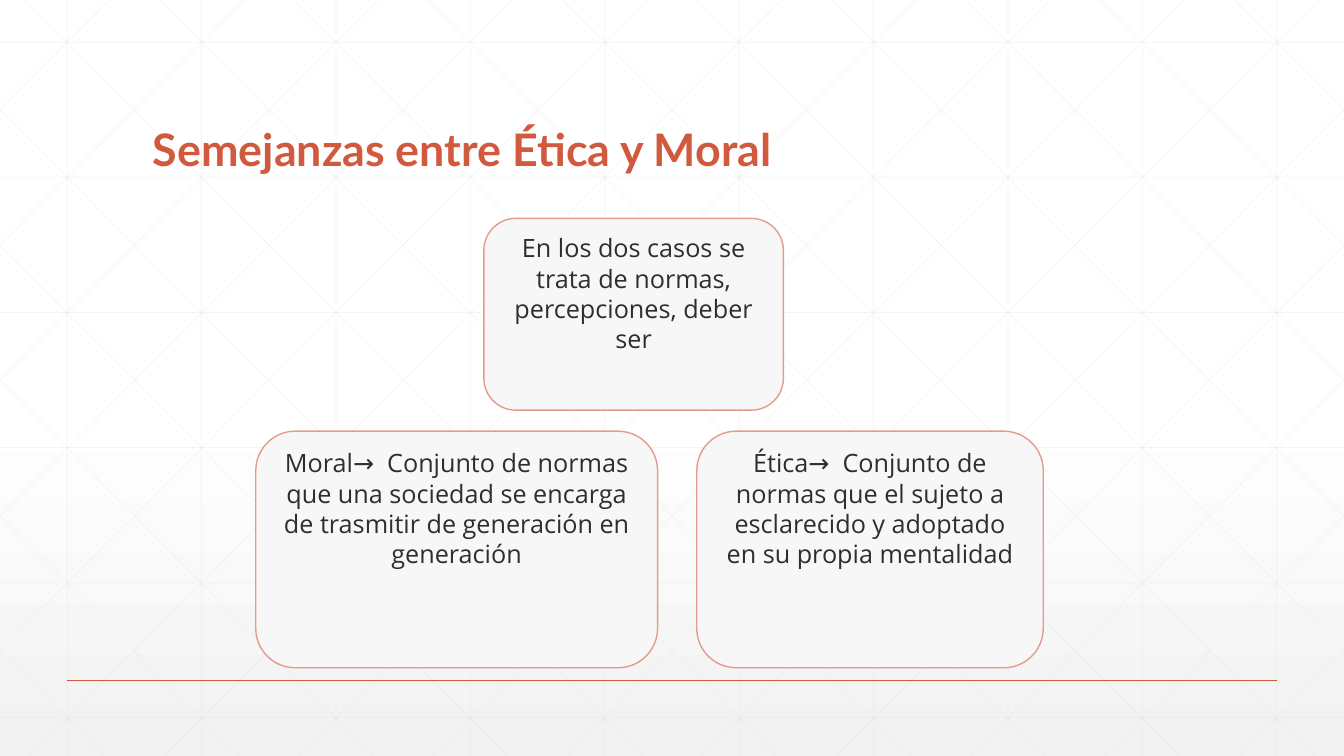
from typing import NamedTuple

from lxml.etree import SubElement
from pptx import Presentation
from pptx.dml.color import RGBColor
from pptx.enum.shapes import MSO_CONNECTOR, MSO_SHAPE
from pptx.enum.text import MSO_ANCHOR, MSO_AUTO_SIZE, PP_ALIGN
from pptx.oxml.ns import qn
from pptx.util import Pt

WHITE = RGBColor(0xFF, 0xFF, 0xFF)
PALE_GRAY = RGBColor(0xF2, 0xF2, 0xF2)
GRID_GRAY = RGBColor(0xD9, 0xD9, 0xD9)
BOX_FILL = RGBColor(0xF7, 0xF7, 0xF7)
BOX_LINE = RGBColor(0xE3, 0x9C, 0x8B)
ACCENT = RGBColor(0xD1, 0x5A, 0x3E)
INK = RGBColor(0x2D, 0x2E, 0x2D)

# All lengths are in points
WIDTH, HEIGHT = 960, 540
GRID_STEP = 96
ROW_TOP, ROW_STEP = 30.2, 96.5
DIAGONAL_START, DIAGONAL_RUN = 18, 536.6


class Segment(NamedTuple):
    x1: float
    y1: float
    x2: float
    y2: float


class Box(NamedTuple):
    left: float
    top: float
    width: float
    height: float
    text: str


BOXES = [
    Box(345.6, 156, 214, 137,
        "En los dos casos se trata de normas, percepciones, deber ser"),
    Box(182.7, 308, 287, 169,
        "Moral→  Conjunto de normas que una sociedad se encarga "
        "de trasmitir de generación en generación"),
    Box(497.7, 308, 247.5, 169,
        "Ética→  Conjunto de normas que el sujeto a esclarecido "
        "y adoptado en su propia mentalidad"),
]


def falling_diagonal(start: float) -> Segment:
    """Diagonal crossing the top edge at start, clipped to the slide."""
    slope = HEIGHT / DIAGONAL_RUN
    x1 = max(start, 0)
    x2 = min(start + DIAGONAL_RUN, WIDTH)
    return Segment(x1, (x1 - start) * slope, x2, (x2 - start) * slope)


def mirrored(segment: Segment) -> Segment:
    return Segment(WIDTH - segment.x1, segment.y1, WIDTH - segment.x2, segment.y2)


def grid_segments() -> list[Segment]:
    columns = [Segment(x, 0, x, HEIGHT) for x in range(GRID_STEP // 2, WIDTH, GRID_STEP)]
    rows = [Segment(0, ROW_TOP + ROW_STEP * row, WIDTH, ROW_TOP + ROW_STEP * row)
            for row in range(6)]
    falling = [falling_diagonal(DIAGONAL_START + GRID_STEP * step) for step in range(-5, 10)]
    return columns + rows + falling + [mirrored(segment) for segment in falling]


def add_line(shapes, segment: Segment, color: RGBColor, weight: float,
             opacity: int = 100) -> None:
    line = shapes.add_connector(MSO_CONNECTOR.STRAIGHT, *(Pt(value) for value in segment))
    line.line.color.rgb = color
    line.line.width = Pt(weight)
    properties = line._element.spPr
    if opacity < 100:
        color_element = properties.find(".//" + qn("a:srgbClr"))
        SubElement(color_element, qn("a:alpha"), val=str(opacity * 1000))
    SubElement(properties, qn("a:effectLst"))


def add_box(shapes, box: Box) -> None:
    shape = shapes.add_shape(MSO_SHAPE.FLOWCHART_ALTERNATE_PROCESS,
                             Pt(box.left), Pt(box.top), Pt(box.width), Pt(box.height))
    shape.shadow.inherit = False
    shape.fill.solid()
    shape.fill.fore_color.rgb = BOX_FILL
    shape.line.color.rgb = BOX_LINE
    shape.line.width = Pt(1)
    frame = shape.text_frame
    frame.word_wrap = True
    frame.vertical_anchor = MSO_ANCHOR.TOP
    frame.text = box.text
    paragraph = frame.paragraphs[0]
    paragraph.alignment = PP_ALIGN.CENTER
    paragraph.font.name = "Open Sans"
    paragraph.font.size = Pt(18)
    paragraph.font.color.rgb = INK


presentation = Presentation()
presentation.slide_width = Pt(WIDTH)
presentation.slide_height = Pt(HEIGHT)
slide = presentation.slides.add_slide(presentation.slide_layouts.get_by_name("Title Only"))

# Background: white fading to pale gray at the bottom
background = slide.background.fill
background.gradient()
background.gradient_angle = 270
for stop, position, color in zip(background.gradient_stops, (0.53, 1), (WHITE, PALE_GRAY)):
    stop.position = position
    stop.color.rgb = color

# Faint grid and footer rule
grid = slide.shapes.add_group_shape()
for segment in grid_segments():
    add_line(grid.shapes, segment, GRID_GRAY, 0.5, opacity=25)
add_line(slide.shapes, Segment(48, 486, 912, 486), ACCENT, 1)

# Title, raised above the grid
title = slide.shapes.title
title.left, title.top, title.width, title.height = Pt(102), Pt(39.6), Pt(756), Pt(90)
title._element.getparent().append(title._element)
title_frame = title.text_frame
title_frame.text = "Semejanzas entre Ética y Moral"
title_frame.auto_size = MSO_AUTO_SIZE.NONE
title_frame.vertical_anchor = MSO_ANCHOR.BOTTOM
heading = title_frame.paragraphs[0]
heading.alignment = PP_ALIGN.LEFT
heading.line_spacing = 0.9
heading.font.name = "Lato"
heading.font.size = Pt(32)
heading.font.bold = True
heading.font.color.rgb = ACCENT

# Boxes
for box in BOXES:
    add_box(slide.shapes, box)

presentation.save("out.pptx")
